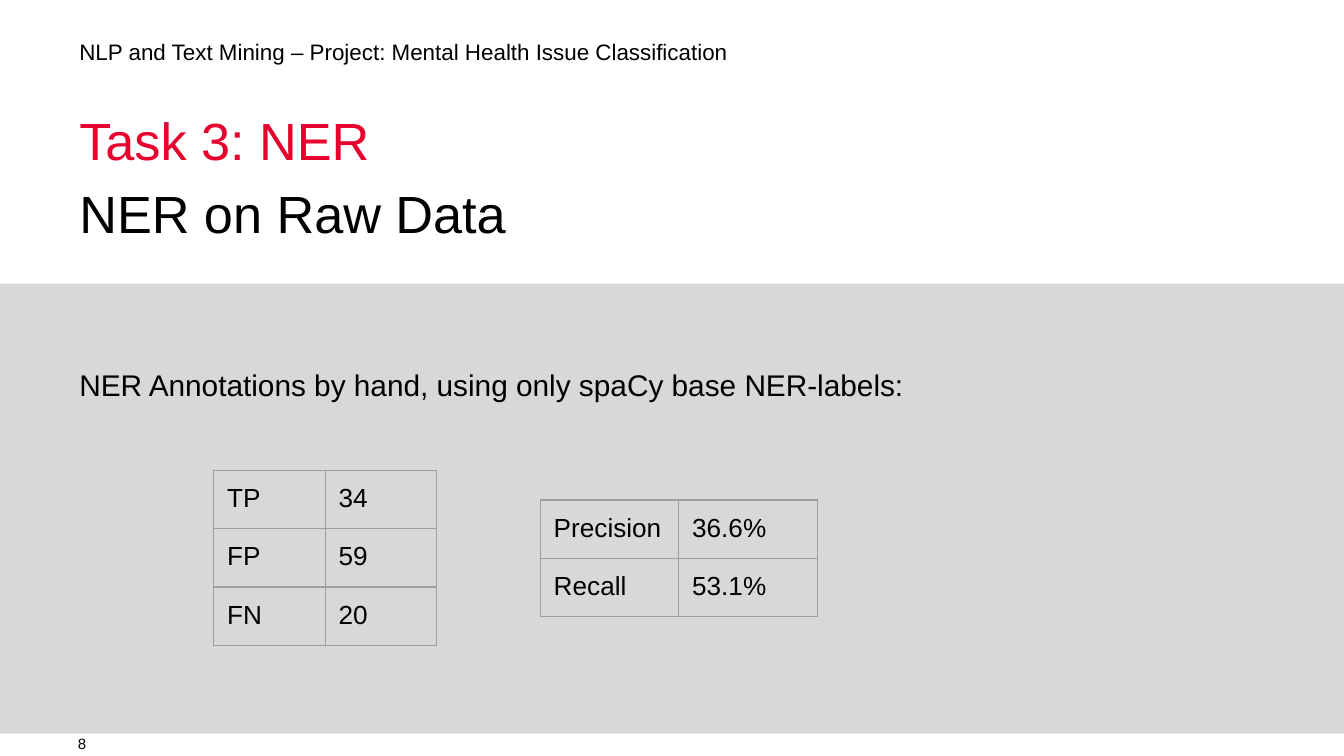
from dataclasses import dataclass

from lxml.etree import SubElement
from pptx import Presentation
from pptx.dml.color import RGBColor
from pptx.enum.shapes import MSO_SHAPE
from pptx.enum.text import MSO_ANCHOR
from pptx.oxml.ns import qn
from pptx.slide import Slide
from pptx.table import _Cell
from pptx.text.text import TextFrame
from pptx.util import Inches, Pt


@dataclass(frozen=True)
class Theme:
    font: str = "Arial"
    ink: str = "000000"
    accent: str = "E6002E"
    panel: str = "D8D8D8"
    grid: str = "9E9E9E"
    grid_width: float = 0.75
    heading: int = 28
    body: int = 16
    cell: int = 14
    header: int = 12
    page_number: int = 8


@dataclass(frozen=True)
class TextBlock:
    text: str
    left: float
    top: float
    width: float
    height: float
    size: int
    color: str
    line_spacing: float = 1.0
    anchor: MSO_ANCHOR = MSO_ANCHOR.TOP


@dataclass(frozen=True)
class ScoreTable:
    left: float
    top: float
    column_width: float
    rows: tuple[tuple[str, str], ...]


THEME = Theme()
SLIDE_WIDTH = Inches(10)
SLIDE_HEIGHT = SLIDE_WIDTH * 9 // 16
MARGIN = 0.59
HEADER_WIDTH = 7.68
ROW_HEIGHT = 0.43
CELL_INSET = Inches(0.1)

TEXT_BLOCKS = (
    TextBlock("8", 0.58, 5.45, 1.57, 0.17, THEME.page_number, THEME.ink,
              anchor=MSO_ANCHOR.MIDDLE),
    TextBlock("NER on Raw Data", MARGIN, 1.28, HEADER_WIDTH, 0.45,
              THEME.heading, THEME.ink, 1.14),
    TextBlock("NER Annotations by hand, using only spaCy base NER-labels:",
              MARGIN, 2.66, 7.91, 2.56, THEME.body, THEME.ink, 1.25),
    TextBlock("NLP and Text Mining – Project: Mental Health Issue Classification",
              MARGIN, 0.31, HEADER_WIDTH, 0.2, THEME.header, THEME.ink, 0.9),
    TextBlock("Task 3: NER", MARGIN, 0.74, HEADER_WIDTH, 0.45,
              THEME.heading, THEME.accent, 1.14),
)

SCORE_TABLES = (
    ScoreTable(1.59, 3.5, 0.83, (("TP", "34"), ("FP", "59"), ("FN", "20"))),
    ScoreTable(4.02, 3.72, 1.03, (("Precision", "36.6%"), ("Recall", "53.1%"))),
)


def write(frame: TextFrame, text: str, *, size: int, color: str,
          line_spacing: float = 1.0) -> None:
    paragraph = frame.paragraphs[0]
    paragraph.line_spacing = line_spacing
    run = paragraph.add_run()
    run.text = text
    run.font.name = THEME.font
    run.font.size = Pt(size)
    run.font.color.rgb = RGBColor.from_string(color)


def add_panel(slide: Slide) -> None:
    panel = slide.shapes.add_shape(
        MSO_SHAPE.RECTANGLE, Inches(0), Inches(2.11), SLIDE_WIDTH, Inches(3.35))
    panel.shadow.inherit = False
    panel.fill.solid()
    panel.fill.fore_color.rgb = RGBColor.from_string(THEME.panel)
    panel.line.fill.background()


def add_text(slide: Slide, block: TextBlock) -> None:
    frame = slide.shapes.add_textbox(
        Inches(block.left), Inches(block.top),
        Inches(block.width), Inches(block.height)).text_frame
    frame.word_wrap = True
    frame.vertical_anchor = block.anchor
    frame.margin_left = frame.margin_right = Inches(0)
    frame.margin_top = frame.margin_bottom = Inches(0)
    write(frame, block.text, size=block.size, color=block.color,
          line_spacing=block.line_spacing)


def outline(cell: _Cell) -> None:
    """Give all four sides of the cell a thin border."""
    properties = cell._tc.get_or_add_tcPr()
    for side in ("a:lnL", "a:lnR", "a:lnT", "a:lnB"):
        border = SubElement(properties, qn(side), w=str(Pt(THEME.grid_width)))
        fill = SubElement(border, qn("a:solidFill"))
        SubElement(fill, qn("a:srgbClr"), val=THEME.grid)


def fill_cell(cell: _Cell, value: str) -> None:
    outline(cell)
    cell.fill.background()
    cell.margin_left = cell.margin_right = CELL_INSET
    cell.margin_top = cell.margin_bottom = CELL_INSET
    write(cell.text_frame, value, size=THEME.cell, color=THEME.ink)


def add_scores(slide: Slide, scores: ScoreTable) -> None:
    row_count, column_count = len(scores.rows), len(scores.rows[0])
    table = slide.shapes.add_table(
        row_count, column_count, Inches(scores.left), Inches(scores.top),
        Inches(scores.column_width * column_count),
        Inches(ROW_HEIGHT * row_count)).table
    table.first_row = table.horz_banding = False
    for row, values in zip(table.rows, scores.rows):
        for cell, value in zip(row.cells, values):
            fill_cell(cell, value)


def main() -> None:
    presentation = Presentation()
    presentation.slide_width = SLIDE_WIDTH
    presentation.slide_height = SLIDE_HEIGHT
    slide = presentation.slides.add_slide(presentation.slide_layouts[6])
    add_panel(slide)
    for block in TEXT_BLOCKS:
        add_text(slide, block)
    for scores in SCORE_TABLES:
        add_scores(slide, scores)
    presentation.save("out.pptx")


if __name__ == "__main__":
    main()
